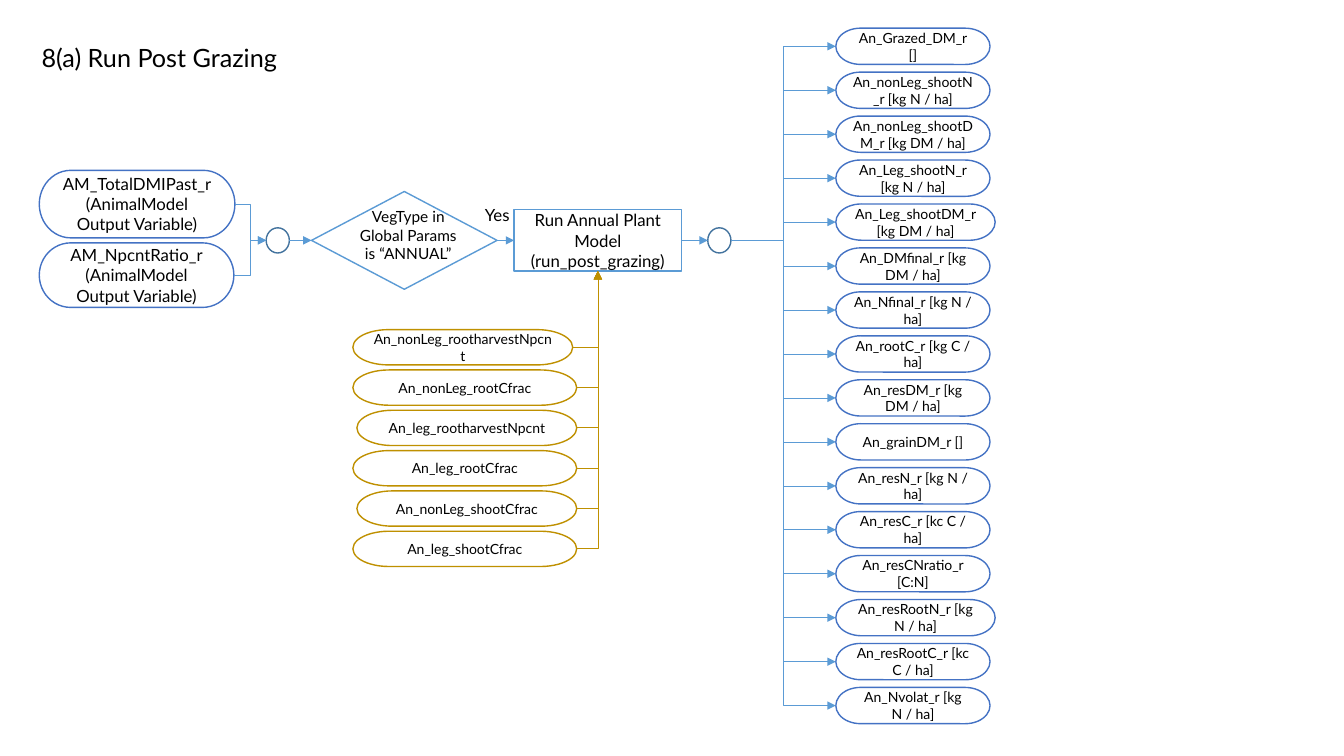
from lxml import etree
from pptx import Presentation
from pptx.dml.color import RGBColor
from pptx.enum import shapes, text
from pptx.oxml import ns
from pptx.util import Inches, Pt

BLACK = RGBColor(0x00, 0x00, 0x00)
WHITE = RGBColor(0xFF, 0xFF, 0xFF)
FLOW_BLUE = RGBColor(0x5B, 0x9B, 0xD5)
VARIABLE_BLUE = RGBColor(0x44, 0x72, 0xC4)
JUNCTION_BLUE = RGBColor(0x43, 0x73, 0x9E)
PARAMETER_GOLD = RGBColor(0xBF, 0x90, 0x00)

PRESET = shapes.MSO_SHAPE
ELBOW = shapes.MSO_CONNECTOR.ELBOW
STRAIGHT = shapes.MSO_CONNECTOR.STRAIGHT
CENTER = text.PP_ALIGN.CENTER

BOX_FORMAT = {"word_wrap": True, "vertical_anchor": text.MSO_ANCHOR.MIDDLE}
LABEL_FORMAT = {"word_wrap": False, "auto_size": text.MSO_AUTO_SIZE.SHAPE_TO_FIT_TEXT}

ANIMAL_INPUTS = [
    ("AM_TotalDMIPast_r", 1.69, 1.94, 0.67),
    ("AM_NpcntRatio_r", 2.41, 1.93, 0.64),
]
PARAMETERS = [
    ("An_nonLeg_rootharvestNpcnt", 3.5, 2.18),
    ("An_nonLeg_rootCfrac", 3.5, 2.22),
    ("An_leg_rootharvestNpcnt", 3.54, 2.18),
    ("An_leg_rootCfrac", 3.5, 2.22),
    ("An_nonLeg_shootCfrac", 3.54, 2.18),
    ("An_leg_shootCfrac", 3.5, 2.22),
]
OUTPUTS = [
    "An_Grazed_DM_r []",
    "An_nonLeg_shootN_r [kg N / ha]",
    "An_nonLeg_shootDM_r [kg DM / ha]",
    "An_Leg_shootN_r [kg N / ha]",
    "An_Leg_shootDM_r [kg DM / ha]",
    "An_DMfinal_r [kg DM / ha]",
    "An_Nfinal_r [kg N / ha]",
    "An_rootC_r [kg C / ha]",
    "An_resDM_r [kg DM / ha]",
    "An_grainDM_r []",
    "An_resN_r [kg N / ha]",
    "An_resC_r [kc C / ha]",
    "An_resCNratio_r [C:N]",
    "An_resRootN_r [kg N / ha]",
    "An_resRootC_r [kc C / ha]",
    "An_Nvolat_r [kg N / ha]",
]
WIDE_OUTPUTS = {"An_Leg_shootDM_r [kg DM / ha]", "An_resRootN_r [kg N / ha]"}
OUTPUT_TOP = 0.28
OUTPUT_PITCH = (6.82 - OUTPUT_TOP) / (len(OUTPUTS) - 1)


def write(frame, lines, size, frame_format, align=CENTER):
    for name, value in frame_format.items():
        setattr(frame, name, value)
    for index, line in enumerate(lines):
        paragraph = frame.paragraphs[0] if index == 0 else frame.add_paragraph()
        paragraph.alignment = align
        run = paragraph.add_run()
        run.text = line
        for name, value in {"name": "Lato", "size": Pt(size)}.items():
            setattr(run.font, name, value)
        run.font.color.rgb = BLACK


def add_node(slide, preset, place, color, lines=(), size=12, filled=True):
    node = slide.shapes.add_shape(preset, *map(Inches, place))
    node.shadow.inherit = False
    if filled:
        node.fill.solid()
        node.fill.fore_color.rgb = WHITE
    else:
        node.fill.background()
    node.line.color.rgb = color
    node.line.width = Pt(1)
    write(node.text_frame, lines, size, BOX_FORMAT)
    return node


def add_label(slide, place, lines, size, align=CENTER):
    label = slide.shapes.add_textbox(*map(Inches, place))
    write(label.text_frame, lines, size, LABEL_FORMAT, align)


def left_of(node):
    return node.left, node.top + node.height // 2


def right_of(node):
    return node.left + node.width, node.top + node.height // 2


def bottom_of(node):
    return node.left + node.width // 2, node.top + node.height


def add_arrow(slide, kind, start, end, color=FLOW_BLUE, preset=None):
    arrow = slide.shapes.add_connector(kind, *start, *end)
    arrow.line.color.rgb = color
    arrow.line.width = Pt(0.5)
    properties = arrow.element.spPr
    outline = properties.find(ns.qn("a:ln"))
    etree.SubElement(outline, ns.qn("a:tailEnd"), type="triangle")
    etree.SubElement(properties, ns.qn("a:effectLst"))
    if preset:
        properties.find(ns.qn("a:prstGeom")).set("prst", preset)


def main():
    deck = Presentation()
    deck.slide_width, deck.slide_height = Inches(13.33), Inches(7.5)
    slide = deck.slides.add_slide(deck.slide_layouts[6])

    add_label(slide, (0.29, 0.37, 2.58, 0.4), ["8(a) Run Post Grazing"], 18)

    model = add_node(slide, PRESET.RECTANGLE, (5.1, 2.08, 1.66, 0.61), FLOW_BLUE,
                     ["Run Annual Plant Model", "(run_post_grazing)"])
    decision = add_node(slide, PRESET.FLOWCHART_DECISION, (3.09, 1.9, 1.84, 0.97), FLOW_BLUE)
    add_label(slide, (3.46, 2.01, 1.18, 0.84),
              ["VegType in", "Global Params", "is “ANNUAL”"], 11)
    add_label(slide, (4.71, 1.98, 0.45, 0.3), ["Yes"], 12, text.PP_ALIGN.LEFT)
    merge, split = [
        add_node(slide, PRESET.OVAL, (left, 2.26, 0.23, 0.25), JUNCTION_BLUE, filled=False)
        for left in (2.64, 7.02)
    ]

    for source, target in ((merge, decision), (decision, model), (model, split)):
        add_arrow(slide, STRAIGHT, right_of(source), left_of(target))

    for variable, top, width, height in ANIMAL_INPUTS:
        animal_input = add_node(slide, PRESET.FLOWCHART_TERMINATOR, (0.39, top, width, height),
                                VARIABLE_BLUE, [variable, "(AnimalModel Output Variable)"])
        add_arrow(slide, ELBOW, right_of(animal_input), left_of(merge))

    for row, (variable, left, width) in enumerate(PARAMETERS):
        parameter = add_node(slide, PRESET.FLOWCHART_TERMINATOR,
                             (left, 3.27 + 0.4 * row, width, 0.35),
                             PARAMETER_GOLD, [variable], 10)
        add_arrow(slide, ELBOW, right_of(parameter), bottom_of(model),
                  PARAMETER_GOLD, "bentConnector2")

    for row, variable in enumerate(OUTPUTS):
        width = 1.58 if variable in WIDE_OUTPUTS else 1.53
        output = add_node(slide, PRESET.FLOWCHART_TERMINATOR,
                          (8.29, OUTPUT_TOP + OUTPUT_PITCH * row, width, 0.36),
                          VARIABLE_BLUE, [variable], 10)
        add_arrow(slide, ELBOW, right_of(split), left_of(output))

    deck.save("out.pptx")


if __name__ == "__main__":
    main()
